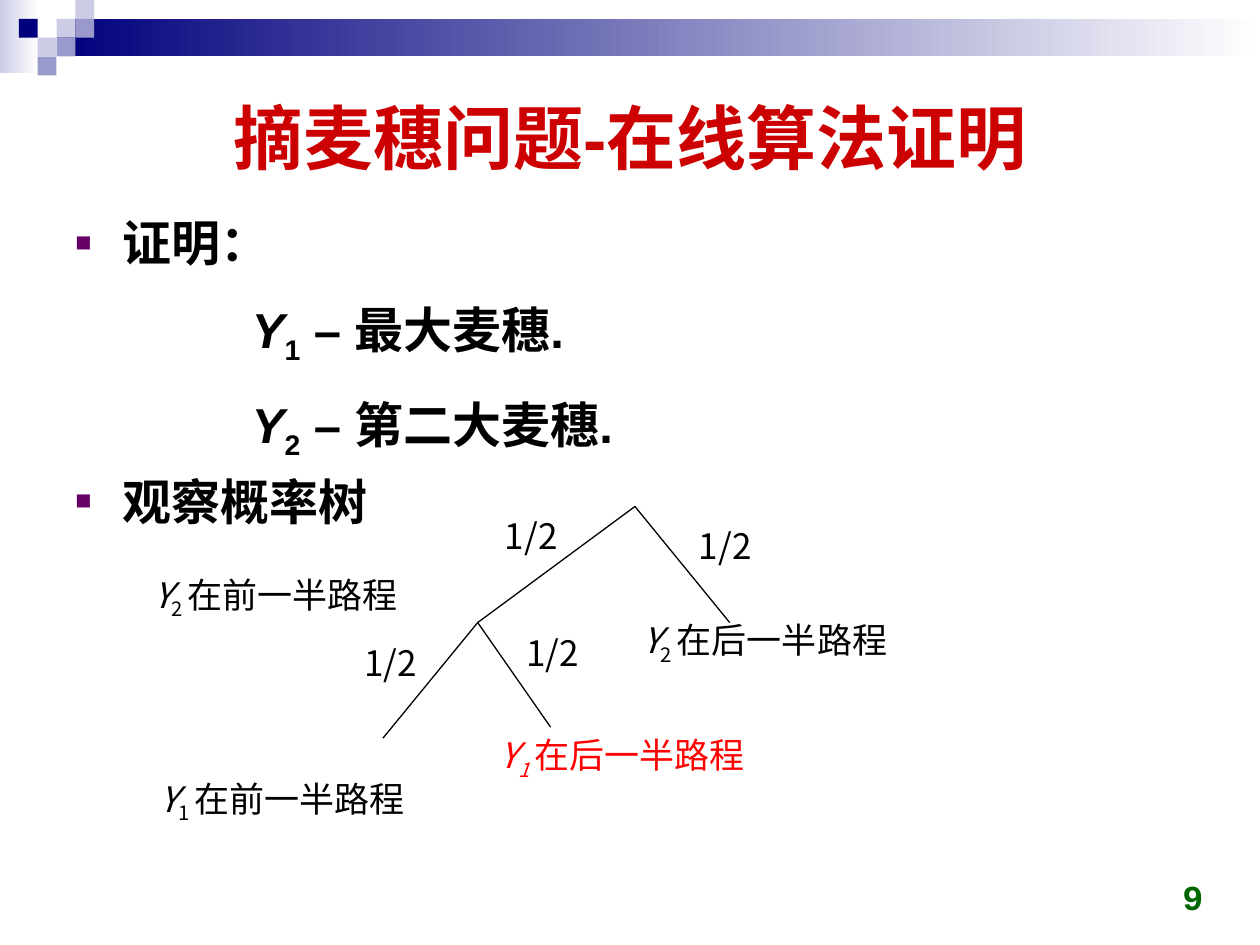
from lxml import etree
from pptx import Presentation
from pptx import util as u
from pptx.dml.color import RGBColor
from pptx.enum import shapes, text
from pptx.oxml.ns import qn

COLORS = {"navy": "00007D", "mid": "9999CC", "light": "CCCCE6", "white": "FFFFFF",
          "title": "CC0000", "ink": "000000", "accent": "FF0000",
          "bullet": "660066", "number": "006600"}
SANS = "Noto Sans CJK SC"


def add_runs(paragraph, runs, size, color, font, bold=False):
    for words, italic, subscript in runs:
        run = paragraph.add_run()
        run.text = words
        run.font.size = u.Pt(size)
        run.font.name = font
        run.font.bold = bold
        run.font.italic = italic
        run.font.color.rgb = RGBColor.from_string(COLORS[color])
        if subscript:
            run.font._element.set("baseline", "-25000")


def add_box(left, top, width, height):
    shape = slide.shapes.add_textbox(u.Cm(left), u.Cm(top), u.Cm(width), u.Cm(height))
    shape.text_frame.word_wrap = True
    return shape.text_frame


presentation = Presentation()
presentation.slide_width = u.Cm(25.4)
presentation.slide_height = u.Cm(19.05)
slide = presentation.slides.add_slide(presentation.slide_layouts[5])

step = 0.38
blocks = [(0, 0, 0.79, 1.47, ["light", "white"]),
          (3 * step, step, 25.4 - 3 * step, 2 * step, ["navy", "white"])]
for column, row, color in [(3, 1, "light"), (4, 0, "light"), (4, 1, "mid"), (2, 2, "light"),
                           (1, 1, "navy"), (3, 2, "mid"), (2, 3, "mid")]:
    blocks.append((column * step, row * step, step, step, [color]))
for left, top, width, height, colors in blocks:
    shape = slide.shapes.add_shape(shapes.MSO_SHAPE.RECTANGLE,
                                   u.Cm(left), u.Cm(top), u.Cm(width), u.Cm(height))
    shape.shadow.inherit = False
    shape.line.fill.background()
    if len(colors) == 1:
        shape.fill.solid()
        shape.fill.fore_color.rgb = RGBColor.from_string(COLORS[colors[0]])
    else:
        shape.fill.gradient()
        shape.fill.gradient_angle = 0
        for stop, color in zip(shape.fill.gradient_stops, colors):
            stop.color.rgb = RGBColor.from_string(COLORS[color])

title = slide.shapes.title
title.left, title.top, title.width, title.height = u.Cm(1.27), u.Cm(1.27), u.Cm(22.86), u.Cm(2.95)
title.text_frame.vertical_anchor = text.MSO_ANCHOR.MIDDLE
paragraph = title.text_frame.paragraphs[0]
paragraph.alignment = text.PP_ALIGN.CENTER
add_runs(paragraph, [("摘麦穗问题-在线算法证明", False, False)], 40, "title", "Arial", True)

body = add_box(1.27, 4.11, 22.86, 13.21)
body_lines = [
    (True, 0, [("证明：", False, False)]),
    (False, 14, [("Y", True, False), ("1", False, True), (" – 最大麦穗.", False, False)]),
    (False, 14, [("Y", True, False), ("2", False, True), (" – 第二大麦穗.", False, False)]),
    (True, 4, [("观察概率树", False, False)]),
]
for index, (bulleted, space, runs) in enumerate(body_lines):
    paragraph = body.add_paragraph() if index else body.paragraphs[0]
    properties = paragraph._p.get_or_add_pPr()
    properties.set("marL", str(u.Cm(0.95 if bulleted else 3.56)))
    properties.set("indent", str(u.Cm(-0.95 if bulleted else 0)))
    paragraph.line_spacing = 1.05
    paragraph.space_before = u.Pt(space)
    if bulleted:
        bullet_color = etree.SubElement(properties, qn("a:buClr"))
        etree.SubElement(bullet_color, qn("a:srgbClr"), val=COLORS["bullet"])
        etree.SubElement(properties, qn("a:buSzPct"), val="55000")
        etree.SubElement(properties, qn("a:buFont"), typeface="Arial")
        etree.SubElement(properties, qn("a:buChar"), char="■")
    add_runs(paragraph, runs, 28, "ink", "Arial", True)

root, inner = (12.8, 10.21), (9.63, 12.55)
branches = [(root, inner), (root, (14.71, 12.55)),
            (inner, (11.1, 14.66)), (inner, (7.72, 14.88))]
for start, end in branches:
    connector = slide.shapes.add_connector(shapes.MSO_CONNECTOR.STRAIGHT,
                                           *[u.Cm(value) for value in start + end])
    connector.line.width = u.Pt(0.75)
    connector.line.color.rgb = RGBColor.from_string(COLORS["ink"])
    etree.SubElement(connector._element.spPr, qn("a:effectLst"))

half = [("1/2", False, False)]
labels = [(left, top, width, half, "ink") for left, top, width in
          [(13.84, 10.44, 2.67), (10.36, 12.6, 2.34), (7.09, 12.8, 1.91), (9.93, 10.24, 2.67)]]
for left, top, width, digit, place, color in [
        (12.7, 12.34, 7.95, "2 ", "在后一半路程", "ink"),
        (9.83, 14.66, 7.95, "1 ", "在后一半路程", "accent"),
        (2.97, 15.54, 6.65, "1 ", "在前一半路程", "ink"),
        (2.84, 11.43, 7.95, "2 ", "在前一半路程", "ink")]:
    runs = [("Y", True, False), (digit, color == "accent", True), (place, False, False)]
    labels.append((left, top, width, runs, color))
for left, top, width, runs, color in labels:
    frame = add_box(left, top, width, 1.12)
    frame.auto_size = text.MSO_AUTO_SIZE.SHAPE_TO_FIT_TEXT
    add_runs(frame.paragraphs[0], runs, 20, color, SANS)

number = add_box(18.59, 17.35, 5.92, 1.27)
number.vertical_anchor = text.MSO_ANCHOR.BOTTOM
number.paragraphs[0].alignment = text.PP_ALIGN.RIGHT
add_runs(number.paragraphs[0], [("9", False, False)], 20, "number", "Courier New", True)

presentation.save("out.pptx")
